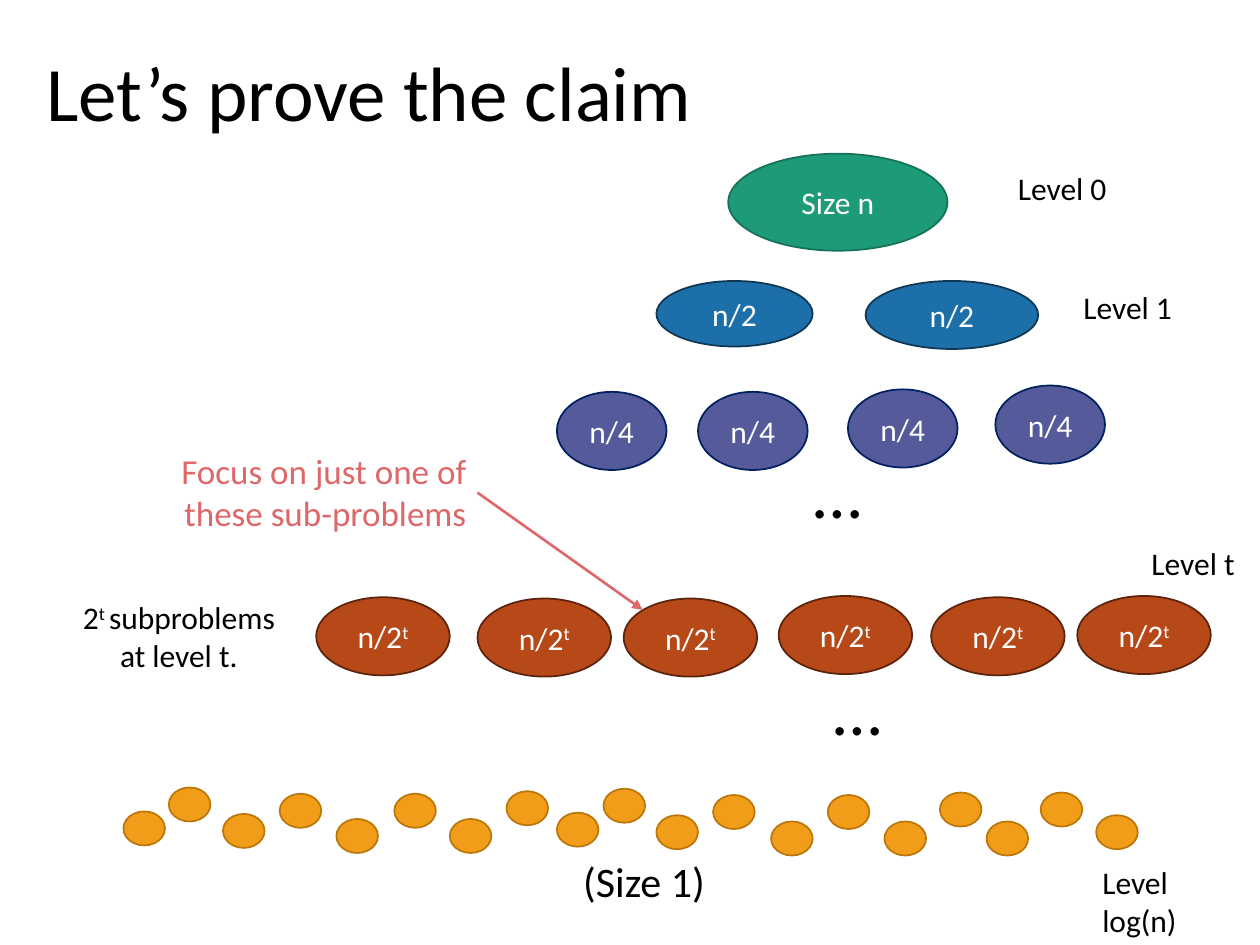
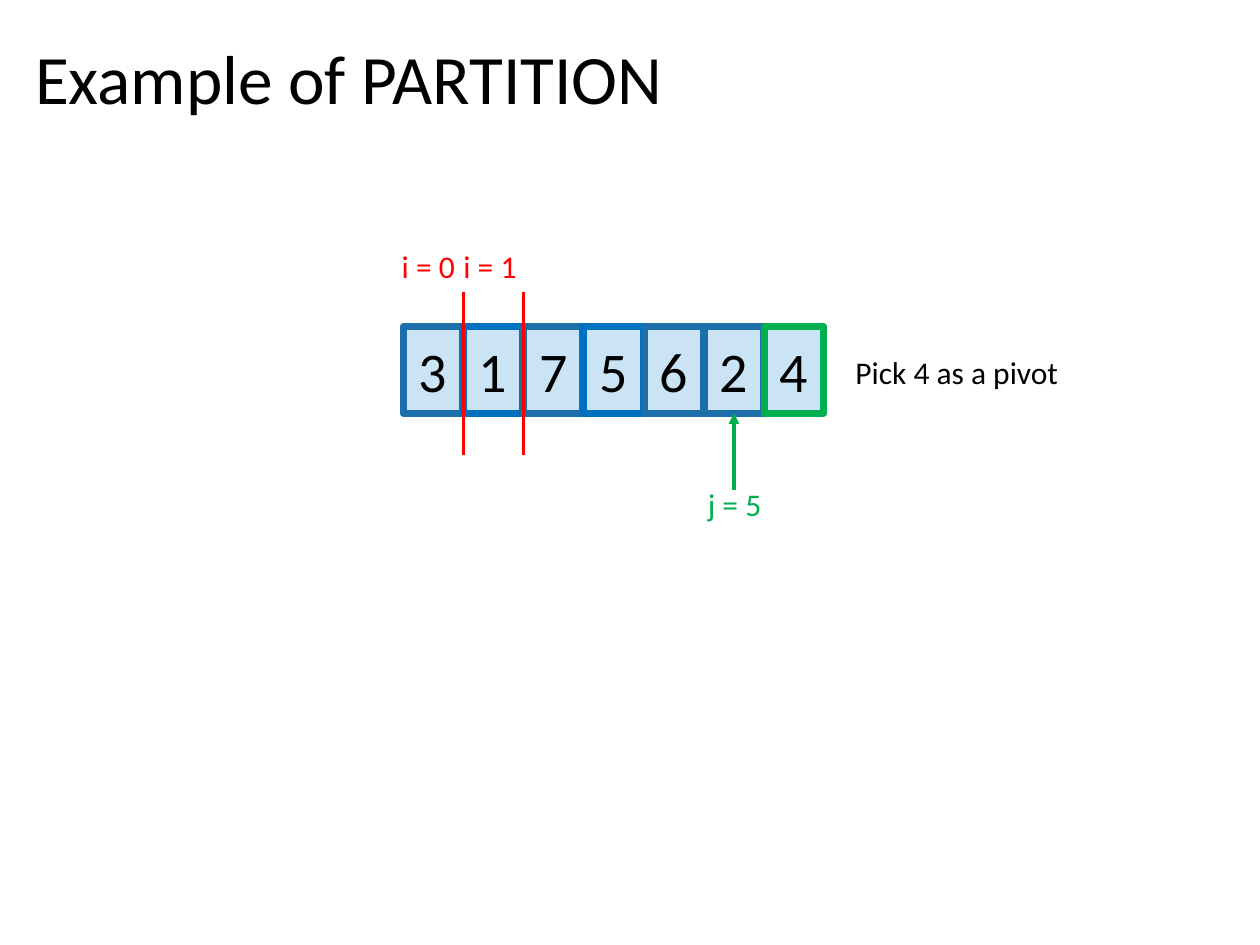
from lxml import etree
from pptx import Presentation
from pptx.dml.color import RGBColor
from pptx.enum.shapes import MSO_CONNECTOR, MSO_SHAPE
from pptx.enum.text import MSO_ANCHOR, PP_ALIGN
from pptx.oxml.ns import qn
from pptx.util import Inches, Pt

OVAL, RECT = MSO_SHAPE.OVAL, MSO_SHAPE.RECTANGLE
LINE = MSO_CONNECTOR.STRAIGHT
LEFT, MID, RIGHT = PP_ALIGN.LEFT, PP_ALIGN.CENTER, PP_ALIGN.RIGHT
TOP, CENTER = MSO_ANCHOR.TOP, MSO_ANCHOR.MIDDLE

FONT = "Calibri"
BLACK = RGBColor(0, 0, 0)
WHITE = RGBColor(0xFF, 0xFF, 0xFF)
TEAL, PINE = RGBColor(0x1D, 0x9A, 0x78), RGBColor(0x15, 0x72, 0x59)
BLUE, NAVY = RGBColor(0x1D, 0x6F, 0xA9), RGBColor(0x0F, 0x37, 0x54)
PLUM, INK = RGBColor(0x55, 0x5B, 0x9A), RGBColor(0, 0x20, 0x60)
RUST, BROWN = RGBColor(0xB7, 0x49, 0x19), RGBColor(0x5C, 0x24, 0x0C)
GOLD, OCHRE = RGBColor(0xF1, 0x9D, 0x19), RGBColor(0xBC, 0x77, 0x0B)
ROSE = RGBColor(0xDE, 0x67, 0x69)
PALE, AZURE = RGBColor(0xCA, 0xE4, 0xF6), RGBColor(0, 0x70, 0xC0)
GREEN, RED = RGBColor(0, 0xB0, 0x50), RGBColor(0xFF, 0, 0)

# Content: text is a list of runs; a run starting with ^ is raised
TITLE_1 = ("Let’s prove the claim", (0.27, 0.04, 8.62, 1.45), 44)
TITLE_2 = ("Example of PARTITION", (0.18, 0.32, 8.62, 0.66), 39.6)

# Tree levels: runs, fill, edge, then (left, top, width, height) of each node
LEVELS = [
    (["Size n"], TEAL, PINE, [(5.78, 1.22, 1.74, 0.77)]),
    (["n/2"], BLUE, NAVY, [(5.21, 2.23, 1.24, 0.52), (6.87, 2.23, 1.37, 0.54)]),
    (["n/4"], PLUM, INK, [(x, y, 0.87, 0.62) for x, y in
     [(4.42, 3.11), (5.54, 3.11), (6.73, 3.09), (7.9, 3.06)]]),
    (["n/2", "^t"], RUST, BROWN, [(x, y, 1.06, 0.62) for x, y in
     [(2.51, 4.74), (3.79, 4.75), (4.95, 4.75),
      (6.18, 4.73), (7.39, 4.74), (8.55, 4.73)]]),
    ([], GOLD, OCHRE, [(x, y, 0.33, 0.27) for x, y in
     [(0.98, 6.44), (1.34, 6.25), (1.77, 6.46), (2.22, 6.3), (2.67, 6.5),
      (3.13, 6.3), (3.57, 6.5), (4.02, 6.28), (4.42, 6.45), (4.79, 6.26),
      (5.21, 6.47), (5.66, 6.31), (6.12, 6.52), (6.57, 6.31), (7.02, 6.52),
      (7.46, 6.29), (7.83, 6.52), (8.26, 6.29), (8.7, 6.47)]]),
]

# Labels: runs, box, size, colour, alignment, wrap
NOTES_1 = [
    (["(Size 1)"], (4.53, 6.74, 1.18, 0.5), 24, BLACK, LEFT, False),
    (["…"], (6.36, 3.51, 0.57, 0.77), 40, BLACK, LEFT, True),
    (["…"], (6.52, 5.23, 0.57, 0.77), 40, BLACK, LEFT, True),
    (["Focus on just one of these sub-problems"],
     (1.02, 3.52, 2.78, 0.77), 20, ROSE, RIGHT, True),
    (["Level 0"], (7.98, 1.29, 1.44, 0.4), 18, BLACK, LEFT, True),
    (["Level 1"], (8.5, 2.24, 1.44, 0.4), 18, BLACK, LEFT, True),
    (["Level t"], (9.04, 4.27, 0.96, 0.4), 18, BLACK, LEFT, True),
    (["Level log(n)"], (8.65, 6.8, 1.35, 0.4), 18, BLACK, LEFT, False),
    (["2", "^t ", "subproblems at level t."],
     (0.44, 4.7, 1.96, 0.71), 18, BLACK, MID, True),
]
NOTES_2 = [
    (["Pick 4 as a pivot"], (6.69, 2.75, 2.15, 0.4), 18, BLACK, LEFT, True),
    (["i = 0"], (3.09, 1.91, 0.63, 0.4), 18, RED, LEFT, False),
    (["i = 1"], (3.58, 1.91, 0.63, 0.4), 18, RED, LEFT, False),
    (["j = 5"], (5.52, 3.8, 0.63, 0.4), 18, GREEN, LEFT, False),
]

# Array cells: digit and edge colour
CELLS = [("3", BLUE), ("1", AZURE), ("7", BLUE), ("5", AZURE),
         ("6", BLUE), ("2", BLUE), ("4", GREEN)]
CELL_X, CELL_Y, CELL_W, CELL_H, PITCH = 3.2, 2.59, 0.47, 0.69, 0.478


# Shared drawing helpers
def write(shape, runs, size, color, align=LEFT, anchor=TOP, wrap=True):
    frame = shape.text_frame
    frame.word_wrap = wrap
    frame.vertical_anchor = anchor
    para = frame.paragraphs[0]
    para.alignment = align
    for text in runs:
        run = para.add_run()
        run.text = text.lstrip("^")
        run.font.name = FONT
        run.font.size = Pt(size)
        run.font.color.rgb = color
        if text.startswith("^"):
            run.font._element.set("baseline", "30000")
    return para


def add_label(slide, runs, box, size, color, align, wrap, anchor=TOP):
    shape = slide.shapes.add_textbox(*map(Inches, box))
    return write(shape, runs, size, color, align, anchor, wrap)


def add_title(slide, text, box, size):
    para = add_label(slide, [text], box, size, BLACK, LEFT, True, CENTER)
    para.line_spacing = 0.9


def add_node(slide, kind, box, fill, edge, width, runs, size, color):
    shape = slide.shapes.add_shape(kind, *map(Inches, box))
    shape.shadow.inherit = False
    shape.fill.solid()
    shape.fill.fore_color.rgb = fill
    shape.line.color.rgb = edge
    shape.line.width = Pt(width)
    if runs:
        write(shape, runs, size, color, MID, CENTER)


def add_line(slide, start, end, color, width, arrow=False):
    line = slide.shapes.add_connector(LINE, *map(Inches, start + end))
    line.line.color.rgb = color
    line.line.width = Pt(width)
    props = line._element.spPr
    if arrow:
        etree.SubElement(props.find(qn("a:ln")), qn("a:tailEnd"), type="triangle")
    etree.SubElement(props, qn("a:effectLst"))


def draw_tree(slide):
    add_title(slide, *TITLE_1)
    for runs, fill, edge, boxes in LEVELS:
        for box in boxes:
            add_node(slide, OVAL, box, fill, edge, 1, runs, 18, WHITE)
    for note in NOTES_1:
        add_label(slide, *note)
    add_line(slide, (3.79, 3.91), (5.1, 4.84), ROSE, 1.5, arrow=True)


def draw_array(slide):
    add_title(slide, *TITLE_2)
    for i, (digit, edge) in enumerate(CELLS):
        box = (CELL_X + i * PITCH, CELL_Y, CELL_W, CELL_H)
        add_node(slide, RECT, box, PALE, edge, 4, [digit], 32, BLACK)
    # Borders after the first and second cells
    for i in (1, 2):
        x = CELL_X + i * PITCH
        add_line(slide, (x, 2.32), (x, 3.61), RED, 2)
    # Pointer up to the cell before the pivot
    x = CELL_X + 5 * PITCH + CELL_W / 2
    add_line(slide, (x, 3.89), (x, CELL_Y + CELL_H), GREEN, 2, arrow=True)
    for note in NOTES_2:
        add_label(slide, *note)


def main():
    deck = Presentation()
    deck.slide_width, deck.slide_height = Inches(10), Inches(7.5)
    for draw in (draw_tree, draw_array):
        draw(deck.slides.add_slide(deck.slide_layouts[6]))
    deck.save("out.pptx")


if __name__ == "__main__":
    main()
